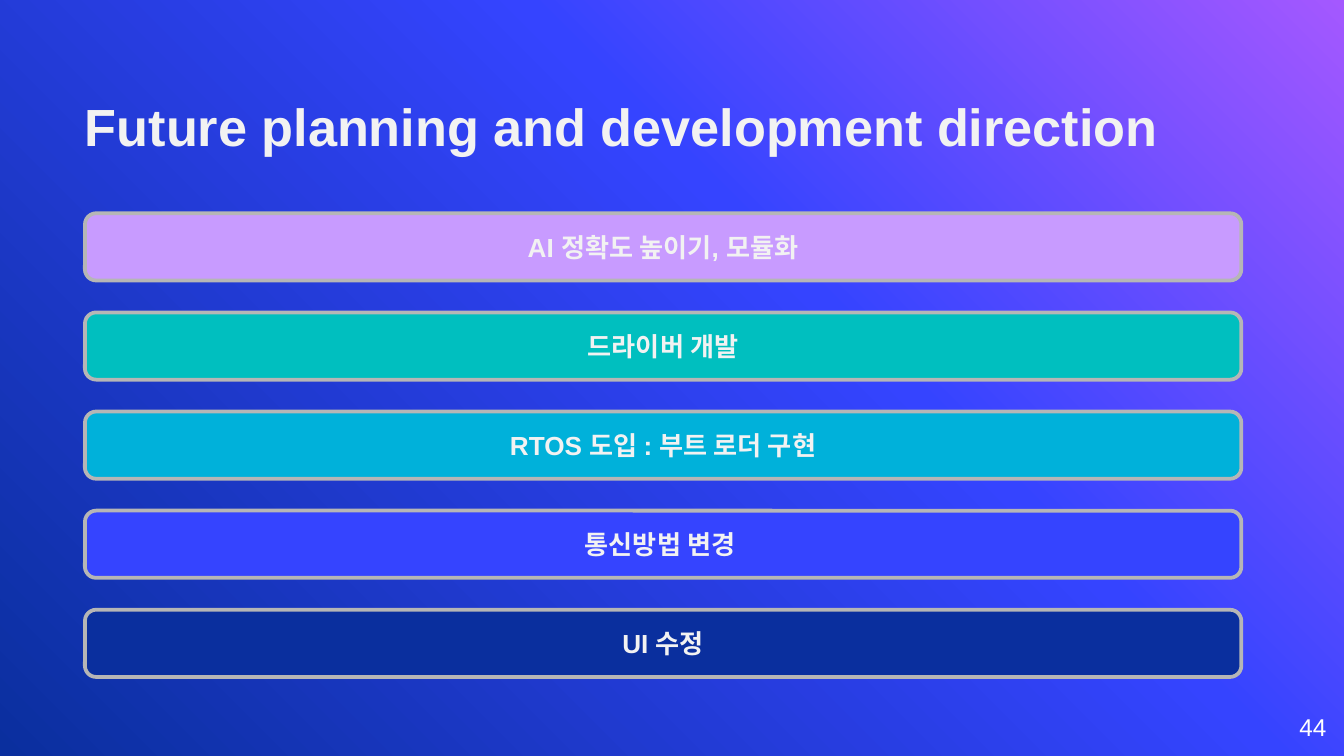
"""Build the slide on future planning and development direction."""
from copy import deepcopy

from pptx import Presentation
from pptx.dml.color import RGBColor
from pptx.enum.shapes import MSO_SHAPE
from pptx.enum.text import MSO_ANCHOR, MSO_AUTO_SIZE, PP_ALIGN
from pptx.oxml.ns import qn
from pptx.util import Pt


def color(value):
    return RGBColor.from_string(value)


class SlideBuilder:
    font_name = "Arial"
    text_color = "F2F2F2"
    border_color = "B6B6B6"

    def __init__(self, presentation):
        self.slide = presentation.slides.add_slide(presentation.slide_layouts[5])

    def background(self, stops, angle):
        fill = self.slide.background.fill
        fill.gradient()
        fill.gradient_angle = angle
        stop_list = self.slide.element.find(".//" + qn("a:gsLst"))
        while len(stop_list) < len(stops):
            stop_list.append(deepcopy(stop_list[0]))
        for stop, (position, value) in zip(fill.gradient_stops, stops):
            stop.position = position
            stop.color.rgb = color(value)

    def add_text(self, shape, text, size, alignment, anchor, value=text_color, bold=True):
        frame = shape.text_frame
        frame.word_wrap = True
        frame.auto_size = MSO_AUTO_SIZE.NONE
        frame.vertical_anchor = anchor
        paragraph = frame.paragraphs[0]
        paragraph.alignment = alignment
        run = paragraph.add_run()
        run.text = text
        run.font.name = self.font_name
        run.font.size = Pt(size)
        run.font.bold = bold
        run.font.color.rgb = color(value)

    def remove_margins(self, shape):
        frame = shape.text_frame
        frame.margin_left = frame.margin_right = 0
        frame.margin_top = frame.margin_bottom = 0

    def title(self, text, left, top, width, height):
        shape = self.slide.shapes.title
        shape.left, shape.top = Pt(left), Pt(top)
        shape.width, shape.height = Pt(width), Pt(height)
        self.remove_margins(shape)
        self.add_text(shape, text, 28, PP_ALIGN.LEFT, MSO_ANCHOR.BOTTOM)

    def page_number(self, text, left, top, width, height):
        shape = self.slide.shapes.add_textbox(Pt(left), Pt(top), Pt(width), Pt(height))
        self.remove_margins(shape)
        self.add_text(shape, text, 13, PP_ALIGN.RIGHT, MSO_ANCHOR.MIDDLE, "FFFFFF", False)

    def bar(self, text, fill, left, top, width, height):
        shape = self.slide.shapes.add_shape(
            MSO_SHAPE.ROUNDED_RECTANGLE, Pt(left), Pt(top), Pt(width), Pt(height)
        )
        shape.shadow.inherit = False
        shape.fill.solid()
        shape.fill.fore_color.rgb = color(fill)
        shape.line.color.rgb = color(self.border_color)
        shape.line.width = Pt(2)
        self.add_text(shape, text, 14, PP_ALIGN.CENTER, MSO_ANCHOR.MIDDLE)


def main():
    presentation = Presentation()
    presentation.slide_width, presentation.slide_height = Pt(720), Pt(405)
    builder = SlideBuilder(presentation)
    builder.background([(0, "A458FF"), (0.39, "3544FF"), (1, "0A2F9E")], 225)
    left = 45.5
    builder.title("Future planning and development direction", left, 16.5, 674.5, 67.5)
    plans = [
        ("AI 정확도 높이기, 모듈화", "C89BFF"),
        ("드라이버 개발", "00BFBF"),
        ("RTOS 도입 : 부트 로더 구현", "00B1DA"),
        ("통신방법 변경 ", "3544FF"),
        ("UI 수정", "0A2F9E"),
    ]
    for index, (text, fill) in enumerate(plans):
        builder.bar(text, fill, left, 114.3 + 53.1 * index, 619.5, 36)
    builder.page_number("44", 667.5, 374, 43, 31)
    presentation.save("out.pptx")


if __name__ == "__main__":
    main()
